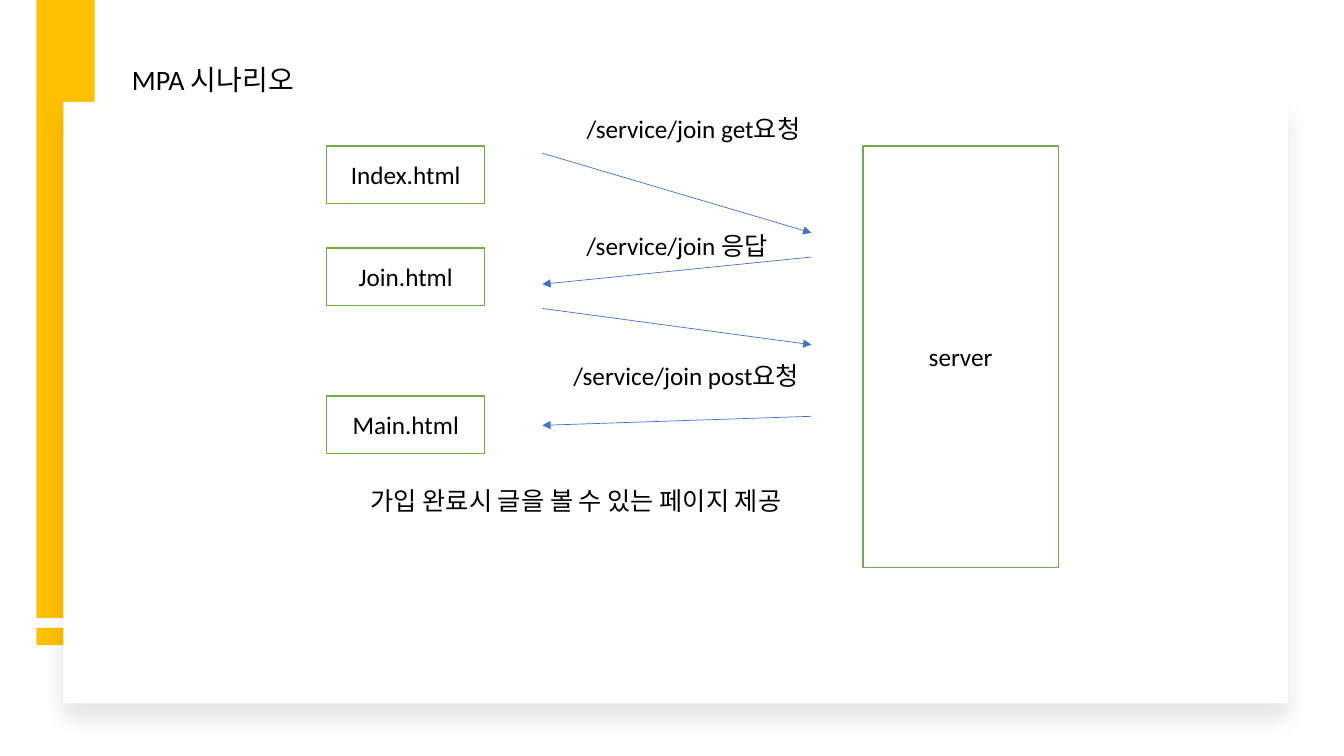
import lxml.etree
import pptx
import pptx.dml.color
import pptx.enum.shapes
import pptx.enum.text
import pptx.oxml
import pptx.oxml.ns
import pptx.util

CELL = pptx.util.Inches(0.1)  # side of one grid column and row
FONT = "Calibri"
COLORS = {
    "accent": "FFC000",
    "card": "FFFFFF",
    "border": "70AD47",
    "arrow": "4472C4",
    "text": "000000",
}


def cells(*counts):
    return [round(count * CELL) for count in counts]


def color(role):
    return pptx.dml.color.RGBColor.from_string(COLORS[role])


def write(frame, wording, size):
    frame.text = wording
    paragraph = frame.paragraphs[0]
    paragraph.font.name = FONT
    paragraph.font.size = pptx.util.Pt(size)
    paragraph.font.color.rgb = color("text")
    return paragraph


def add_panel(slide, area, role):
    panel = slide.shapes.add_shape(
        pptx.enum.shapes.MSO_SHAPE.RECTANGLE, *cells(*area))
    panel.shadow.inherit = False
    panel.fill.solid()
    panel.fill.fore_color.rgb = color(role)
    panel.line.fill.background()
    return panel


def add_soft_shadow(panel):
    """Cast a faint blurred shadow straight down."""
    effects = panel._element.spPr.find(pptx.oxml.ns.qn("a:effectLst"))
    effects.append(pptx.oxml.parse_xml(
        f'<a:outerShdw {pptx.oxml.ns.nsdecls("a")} blurRad="{pptx.util.Pt(15)}" '
        f'dist="{pptx.util.Pt(11)}" dir="5400000" algn="t" rotWithShape="0">'
        '<a:srgbClr val="000000"><a:alpha val="10000"/></a:srgbClr>'
        '</a:outerShdw>'))


def add_node(slide, area, wording):
    node = slide.shapes.add_shape(
        pptx.enum.shapes.MSO_SHAPE.RECTANGLE, *cells(*area))
    node.shadow.inherit = False
    node.fill.background()
    node.line.color.rgb = color("border")
    node.line.width = pptx.util.Pt(1)
    node.text_frame.vertical_anchor = pptx.enum.text.MSO_ANCHOR.MIDDLE
    write(node.text_frame, wording, 18).alignment = pptx.enum.text.PP_ALIGN.CENTER


def add_label(slide, area, wording, size=18):
    label = slide.shapes.add_textbox(*cells(*area))
    label.text_frame.word_wrap = True
    write(label.text_frame, wording, size)


def add_arrow(slide, start, end):
    arrow = slide.shapes.add_connector(
        pptx.enum.shapes.MSO_CONNECTOR.STRAIGHT, *cells(*start, *end))
    arrow.line.color.rgb = color("arrow")
    arrow.line.width = pptx.util.Pt(0.5)
    qn = pptx.oxml.ns.qn
    lxml.etree.SubElement(arrow.line._get_or_add_ln(), qn("a:tailEnd"), type="triangle")
    lxml.etree.SubElement(arrow._element.spPr, qn("a:effectLst"))


def main():
    deck = pptx.Presentation()
    deck.slide_width, deck.slide_height = cells(133.33, 75)
    slide = deck.slides.add_slide(deck.slide_layouts[6])

    for top, height in ((62.3, 1.7), (0, 61.3)):
        add_panel(slide, (3.6, top, 5.8, height), "accent")
    add_soft_shadow(add_panel(slide, (6.3, 10.1, 121.5, 59.7), "card"))
    add_label(slide, (12.1, 5.7, 63.2, 4.4), "MPA 시나리오", 20)

    for top, page in ((14.5, "Index.html"), (24.6, "Join.html"), (39.3, "Main.html")):
        add_node(slide, (32.4, top, 15.7, 5.7), page)
    add_node(slide, (85.6, 14.5, 19.4, 41.8), "server")

    client, server = 53.8, 80.5
    add_arrow(slide, (client, 15.2), (server, 23.1))
    add_arrow(slide, (server, 25.5), (client, 28.2))
    add_arrow(slide, (client, 30.6), (server, 34.2))
    add_arrow(slide, (server, 41.3), (client, 42.2))

    for left, top, width, wording in (
        (57.2, 10.8, 26.2, "/service/join get요청"),
        (57.2, 22.4, 22.4, "/service/join 응답"),
        (55.9, 35.3, 26.7, "/service/join post요청"),
        (35.8, 47.7, 48.1, "가입 완료시 글을 볼 수 있는 페이지 제공"),
    ):
        add_label(slide, (left, top, width, 4), wording)

    deck.save("out.pptx")


if __name__ == "__main__":
    main()
